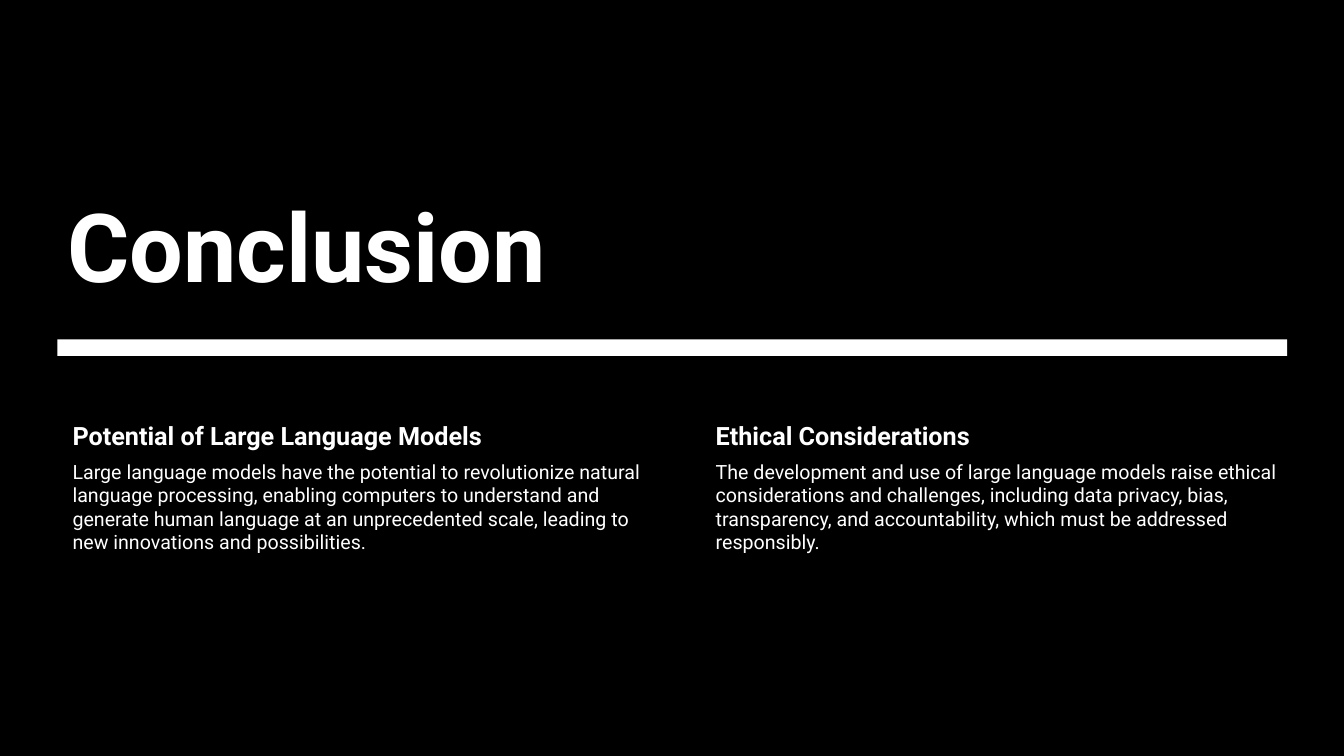
import pptx
import pptx.dml.color
import pptx.enum.shapes
import pptx.enum.text
import pptx.util

Pt = pptx.util.Pt
ANCHOR = pptx.enum.text.MSO_ANCHOR

BLACK, WHITE = "000000", "FFFFFF"
FONT = "Roboto"
SLIDE_W, SLIDE_H = 960, 540
LEFT, CONTENT_W = 41, 878.4
COLUMN_W, COLUMN_STEP = 418.3, 459.4

COLUMNS = [
    ("Potential of Large Language Models",
     "Large language models have the potential to revolutionize natural "
     "language processing, enabling computers to understand and generate "
     "human language at an unprecedented scale, leading to new innovations "
     "and possibilities."),
    ("Ethical Considerations",
     "The development and use of large language models raise ethical "
     "considerations and challenges, including data privacy, bias, "
     "transparency, and accountability, which must be addressed "
     "responsibly."),
]


def rgb(value):
    return pptx.dml.color.RGBColor.from_string(value)


def add_rect(slide, x, y, w, h, color):
    sp = slide.shapes.add_shape(pptx.enum.shapes.MSO_SHAPE.RECTANGLE,
                                Pt(x), Pt(y), Pt(w), Pt(h))
    sp.shadow.inherit = False
    sp.fill.solid()
    sp.fill.fore_color.rgb = rgb(color)
    sp.line.fill.background()


def add_text(slide, text, box, size, insets, bold=False, anchor=ANCHOR.TOP):
    """Insets are left, top, right, bottom."""
    tf = slide.shapes.add_textbox(*map(Pt, box)).text_frame
    tf.word_wrap = True
    tf.vertical_anchor = anchor
    (tf.margin_left, tf.margin_top,
     tf.margin_right, tf.margin_bottom) = map(Pt, insets)
    tf.text = text
    font = tf.paragraphs[0].runs[0].font
    font.name = FONT
    font.size = Pt(size)
    font.bold = bold
    font.color.rgb = rgb(WHITE)


def add_column(slide, x, heading, body):
    add_text(slide, heading, (x, 298.1, COLUMN_W, 28.8), 18,
             (10.8, 2, 2, 2), bold=True)
    add_text(slide, body, (x, 326.9, COLUMN_W, 164.9), 14,
             (10.8, 1.5, 1.5, 1.5))


def main():
    prs = pptx.Presentation()
    prs.slide_width, prs.slide_height = Pt(SLIDE_W), Pt(SLIDE_H)
    slide = prs.slides.add_slide(prs.slide_layouts[6])

    # Background
    slide.background.fill.solid()
    slide.background.fill.fore_color.rgb = rgb(BLACK)
    add_rect(slide, 0, 0, SLIDE_W, SLIDE_H, BLACK)

    # Title and divider bar
    add_rect(slide, LEFT, 242.4, CONTENT_W, 11.8, WHITE)
    add_text(slide, "Conclusion", (LEFT, 104.4, CONTENT_W, 110.9), 68,
             (7.2, 0, 7.2, 0), bold=True, anchor=ANCHOR.BOTTOM)

    # Two columns of conclusions
    for i, (heading, body) in enumerate(COLUMNS):
        add_column(slide, LEFT + i * COLUMN_STEP, heading, body)

    prs.save("out.pptx")


if __name__ == "__main__":
    main()
